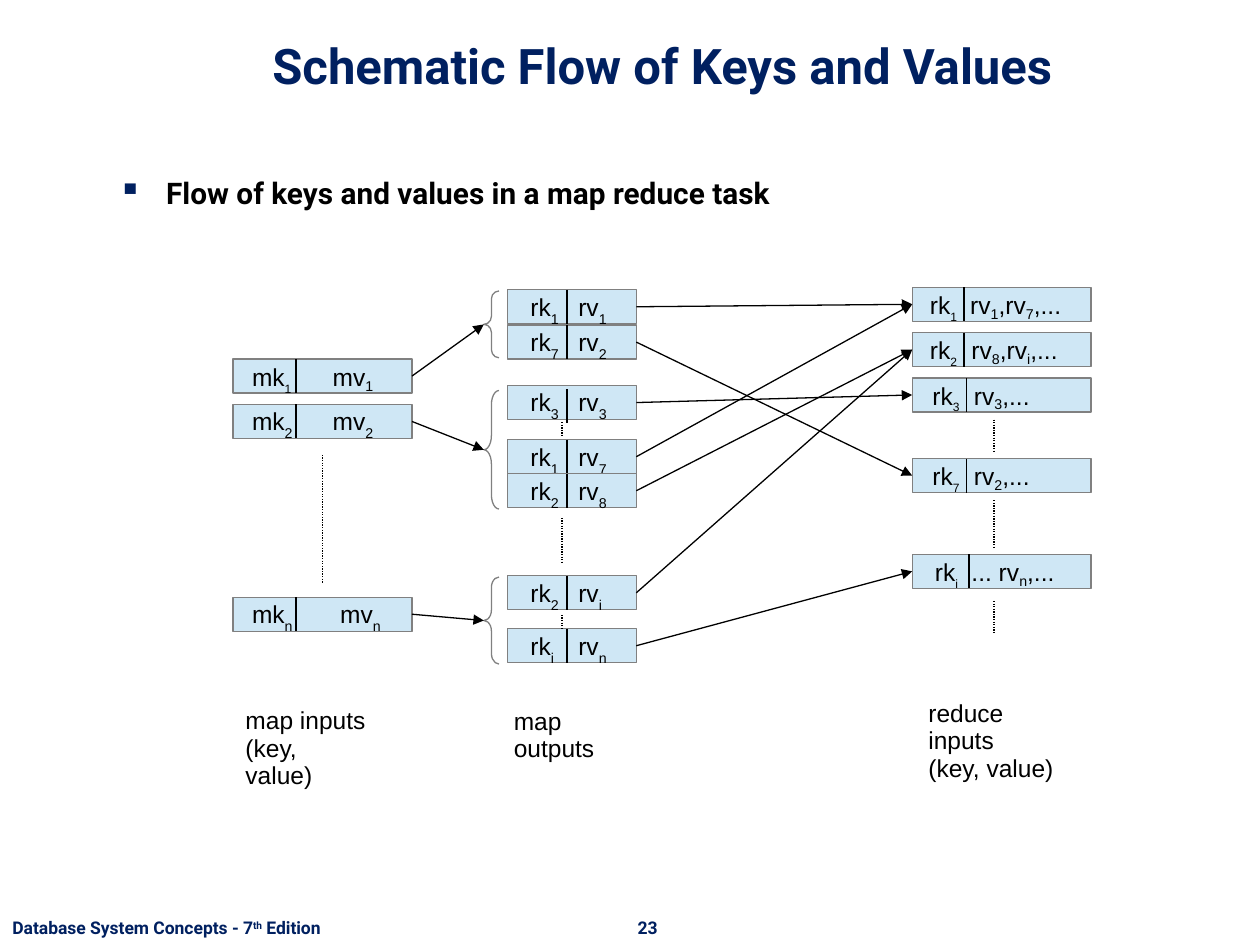
import pptx
import pptx.dml.color
import pptx.enum.dml
import pptx.enum.shapes
import pptx.enum.text
import pptx.oxml.ns
import pptx.util
from lxml import etree

Inches = pptx.util.Inches
Pt = pptx.util.Pt
SHAPE = pptx.enum.shapes.MSO_SHAPE
ALIGN = pptx.enum.text.PP_ALIGN
ANCHOR = pptx.enum.text.MSO_ANCHOR

HUES = {"navy": "002060", "ink": "000000", "cell": "CFE7F5", "edge": "808080"}
HIGH = 0.27

INPUTS = [(2.85, "1", "1", 0.79, True), (3.21, "2", "2", 0.79, False),
          (4.74, "n", "n", 0.85, False)]
OUTPUTS = [(2.30, "1", "1", 0), (2.58, "7", "2", 0), (3.06, "3", "3", 0.03),
           (3.49, "1", "7", 0), (3.76, "2", "8", 0), (4.57, "2", "i", 0),
           (4.99, "i", "n", 0)]
REDUCED = [(2.28, "1", "rv|1|,rv|7|,...", 0.41, 0.46),
           (2.64, "2", "rv|8|,rv|i|,...", 0.41, 0.47),
           (3.00, "3", "rv|3|,...", 0.43, 0.49),
           (3.64, "7", "rv|2|,...", 0.43, 0.49),
           (4.40, "i", "... rv|n|,...", 0.45, 0.47)]
BRACES = [(2.31, 0.53), (3.10, 0.94), (4.58, 0.69)]
LINKS = [(0, 0), (3, 0), (1, 3), (2, 2), (4, 1), (5, 1), (6, 4)]
DOTS = [(2.56, 3.61, 4.63), (4.46, 4.11, 4.47), (4.46, 4.88, 4.99),
        (4.46, 3.35, 3.47), (7.89, 3.33, 3.59), (7.89, 3.97, 4.34),
        (7.89, 4.77, 5.03)]


def tint(name):
    """Return the colour with this name."""
    return pptx.dml.color.RGBColor.from_string(HUES[name])


def node(root, tag, **attrs):
    """Append a drawing element and return it."""
    return etree.SubElement(root, pptx.oxml.ns.qn("a:" + tag), attrs)


def write(para, text, size=14, font="Arial", hue="ink", bold=False,
          small=None, shift=-33, align=None, space=None):
    """Add runs to a paragraph; every second part between bars is shifted."""
    if align is not None:
        para.alignment = align
    if space is not None:
        para.line_spacing = space
    for spot, part in enumerate(text.split("|")):
        if not part:
            continue
        run = para.add_run()
        run.text = part
        run.font.size = Pt(small if small and spot % 2 else size)
        run.font.name = font
        run.font.bold = bold
        run.font.color.rgb = tint(hue)
        if spot % 2:
            run.font._element.set("baseline", str(shift * 1000))


def pad(frame, left, top, right, base):
    """Set the insets of a text frame."""
    frame.margin_left, frame.margin_top = Inches(left), Inches(top)
    frame.margin_right, frame.margin_bottom = Inches(right), Inches(base)


def box(slide, left, top, wide, high, wrap=True):
    """Add a text box and return its frame."""
    frame = slide.shapes.add_textbox(
        Inches(left), Inches(top), Inches(wide), Inches(high)).text_frame
    frame.word_wrap = wrap
    return frame


def line(slide, start, end, head=False, dots=False, source=None, goal=None):
    """Draw a line, joined to the shapes given at its ends."""
    link = slide.shapes.add_connector(
        pptx.enum.shapes.MSO_CONNECTOR.STRAIGHT,
        *(Inches(v) for v in (*start, *end)))
    if source is not None:
        link.begin_connect(source, 3)
        link.end_connect(goal, 1)
    link.line.width = Pt(0.75)
    link.line.color.rgb = tint("ink")
    if dots:
        link.line.dash_style = pptx.enum.dml.MSO_LINE.ROUND_DOT
    if head:
        node(link.line._get_or_add_ln(), "tailEnd", type="triangle")
    node(link._element.spPr, "effectLst")


def arrow(slide, source, goal):
    """Point from the right of one shape to the left of another."""
    line(slide, (0, 0), (1, 1), head=True, source=source, goal=goal)


def shape(slide, kind, left, top, wide, high):
    """Add a grey-edged shape without shadow."""
    item = slide.shapes.add_shape(
        kind, Inches(left), Inches(top), Inches(wide), Inches(high))
    item.shadow.inherit = False
    item.line.color.rgb = tint("edge")
    item.line.width = Pt(0.75)
    return item


def pair(slide, left, top, wide, key, value, stops, drop=0, fine=False):
    """Draw a key and value cell; stops are key, divider and value offsets."""
    item = shape(slide, SHAPE.RECTANGLE, left, top, wide, HIGH)
    item.fill.solid()
    item.fill.fore_color.rgb = tint("cell")
    start, split, tab = stops
    frame = item.text_frame
    frame.word_wrap = True
    frame.vertical_anchor = ANCHOR.MIDDLE
    pad(frame, start, 0.07, 0, 0.05)
    para = frame.paragraphs[0]
    write(para, key + "|\t", small=12 if fine else None,
          align=ALIGN.LEFT, space=0.93)
    write(para, value, shift=-20 if fine else -33)
    tabs = node(para._p.get_or_add_pPr(), "tabLst")
    node(tabs, "tab", pos=str(Inches(tab - start)), algn="l")
    line(slide, (left + split, top + drop), (left + split, top + drop + HIGH))
    return item


def brace(slide, top, high):
    """Draw a brace to the left of a set of outputs."""
    item = shape(slide, SHAPE.LEFT_BRACE, 3.84, top, 0.12, high)
    item.fill.background()
    item.adjustments[0] = high
    return item


def label(slide, left, top, wide, *rows):
    """Write a caption under a column."""
    frame = box(slide, left, top, wide, 0.18 * len(rows), wrap=False)
    pad(frame, 0.1, 0.07, 0.1, 0.05)
    for spot, row in enumerate(rows):
        para = frame.add_paragraph() if spot else frame.paragraphs[0]
        write(para, row, space=0.93)


def heads(slide):
    """Write the title, the bullet and the footer."""
    bold = {"font": "Roboto", "bold": True}
    title = slide.shapes.title
    title.left, title.top = Inches(0.84), Inches(0.13)
    title.width, title.height = Inches(8.83), Inches(0.67)
    title.text_frame.vertical_anchor = ANCHOR.BOTTOM
    write(title.text_frame.paragraphs[0], "Schematic Flow of Keys and Values",
          size=28, hue="navy", align=ALIGN.CENTER, **bold)

    para = box(slide, 0.84, 1.34, 8.04, 0.62).paragraphs[0]
    write(para, "Flow of keys and values in a map reduce task", size=17, **bold)
    props = para._p.get_or_add_pPr()
    props.set("marL", str(Inches(0.38)))
    props.set("indent", str(Inches(-0.38)))
    node(node(props, "buClr"), "srgbClr", val=HUES["navy"])
    node(props, "buSzPct", val="110000")
    node(props, "buChar", char="▪")

    for left, wide, text, align in (
            (0, 2.81, "Database System Concepts - 7|th| Edition", ALIGN.LEFT),
            (4.92, 0.44, "23", ALIGN.CENTER)):
        frame = box(slide, left, 7.23, wide, 0.27, wrap=False)
        write(frame.paragraphs[0], text, size=10, hue="navy", shift=30,
              align=align, **bold)


def main():
    """Build the slide and save it."""
    deck = pptx.Presentation()
    deck.slide_width, deck.slide_height = Inches(10), Inches(7.5)
    slide = deck.slides.add_slide(deck.slide_layouts[5])
    heads(slide)
    ins = [pair(slide, 1.85, top, 1.42, f"mk|{key}", f"mv|{val}",
                (0.15, 0.5, tab), fine=fine)
           for top, key, val, tab, fine in INPUTS]
    outs = [pair(slide, 4.03, top, 1.02, f"rk|{key}", f"rv|{val}",
                 (0.18, 0.47, 0.56), drop=drop)
            for top, key, val, drop in OUTPUTS]
    reds = [pair(slide, 7.24, top, 1.42, f"rk|{key}", val,
                 (split - 0.27, split, tab), fine=True)
            for top, key, val, split, tab in REDUCED]
    for source, spot in zip(ins, BRACES):
        arrow(slide, source, brace(slide, *spot))
    for source, goal in LINKS:
        arrow(slide, outs[source], reds[goal])
    for left, top, base in DOTS:
        line(slide, (left, top), (left, base), dots=True)
    label(slide, 1.85, 5.55, 1.16, "map inputs", "(key, value)")
    label(slide, 3.98, 5.55, 1.24, "map outputs")
    label(slide, 7.27, 5.49, 1.34, "reduce inputs", "(key, value)")
    deck.save("out.pptx")


if __name__ == "__main__":
    main()
